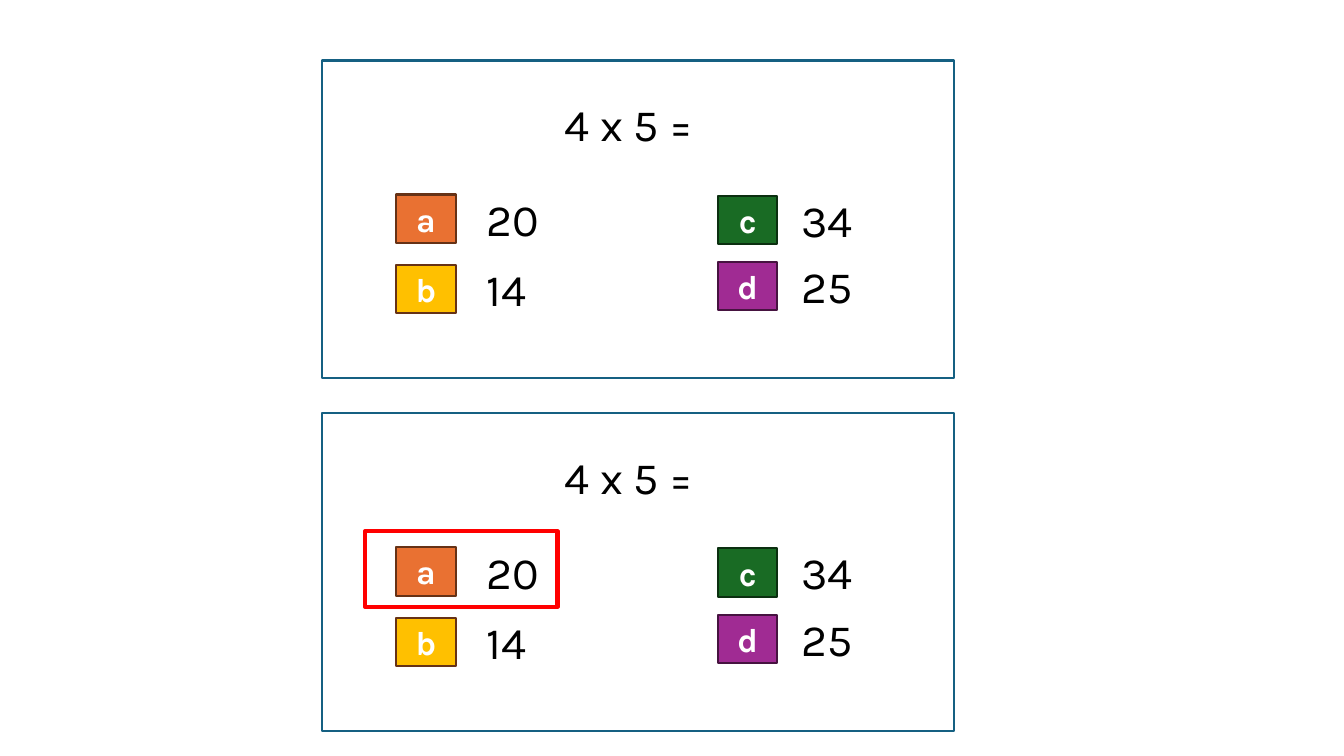
from dataclasses import dataclass

from pptx import Presentation
from pptx import util as u
from pptx.dml.color import RGBColor
from pptx.enum import shapes, text

PX = 9144  # EMU per px, 100 px to the inch
FONT = "Karla"


@dataclass(frozen=True)
class Box:
    left: int
    top: int
    width: int
    height: int

    def down(self, gap: int) -> "Box":
        return Box(self.left, self.top + gap, self.width, self.height)

    def emu(self) -> list[u.Emu]:
        return [u.Emu(n * PX) for n in (self.left, self.top, self.width, self.height)]


@dataclass(frozen=True)
class Answer:
    key: str
    value: str
    left: int
    top: int
    number: int  # left edge of the value
    fill: str
    line: str


# Tops of answers count from the top of their card
ANSWERS = [
    Answer("a", "20", 393, 133, 473, "E97132", "663216"),
    Answer("b", "14", 393, 203, 473, "FFC000", "663216"),
    Answer("c", "34", 712, 134, 785, "196B24", "0B2F10"),
    Answer("d", "25", 712, 200, 785, "A02B93", "461340"),
]
CARD = Box(319, 0, 627, 315)
PROMPT = Box(550, 31, 149, 64)
MARK = Box(362, 117, 191, 75)
TOPS = (60, 410)


def color(code: str) -> RGBColor:
    return RGBColor.from_string(code)


def write(frame, words: str, size: int, ink: str, bold: bool = False) -> None:
    run = frame.paragraphs[0].add_run()
    run.text = words
    font = run.font
    font.name, font.size, font.bold = FONT, u.Pt(size), bold
    font.color.rgb = color(ink)


def label(slide, box: Box, words: str) -> None:
    frame = slide.shapes.add_textbox(*box.emu()).text_frame
    frame.word_wrap = False
    frame.auto_size = text.MSO_AUTO_SIZE.SHAPE_TO_FIT_TEXT
    write(frame, words, 32, "000000")


def rect(slide, box: Box, fill: str | None, line: str, width: float = 1.5):
    shape = slide.shapes.add_shape(shapes.MSO_SHAPE.RECTANGLE, *box.emu())
    shape.shadow.inherit = False
    if fill:
        shape.fill.solid()
        shape.fill.fore_color.rgb = color(fill)
    else:
        shape.fill.background()
    shape.line.color.rgb = color(line)
    shape.line.width = u.Pt(width)
    return shape


def tile(slide, box: Box, item: Answer) -> None:
    frame = rect(slide, box, item.fill, item.line).text_frame
    frame.vertical_anchor = text.MSO_ANCHOR.MIDDLE
    frame.paragraphs[0].alignment = text.PP_ALIGN.CENTER
    write(frame, item.key, 24, "FFFFFF", True)


def card(slide, top: int) -> None:
    rect(slide, CARD.down(top), "FFFFFF", "156082")
    label(slide, PROMPT.down(top), "4 x 5 =")
    for item in ANSWERS:
        label(slide, Box(item.number, item.top - 8, 77, 64).down(top), item.value)
    for item in ANSWERS:
        tile(slide, Box(item.left, item.top, 59, 48).down(top), item)


def main() -> None:
    deck = Presentation()
    deck.slide_width, deck.slide_height = u.Inches(13.33), u.Inches(7.5)
    slide = deck.slides.add_slide(deck.slide_layouts[6])

    # Question card, then the same card with its solution
    for top in TOPS:
        card(slide, top)

    # Frame round the right answer
    rect(slide, MARK.down(TOPS[-1]), None, "FF0000", 3)
    deck.save("out.pptx")


if __name__ == "__main__":
    main()
